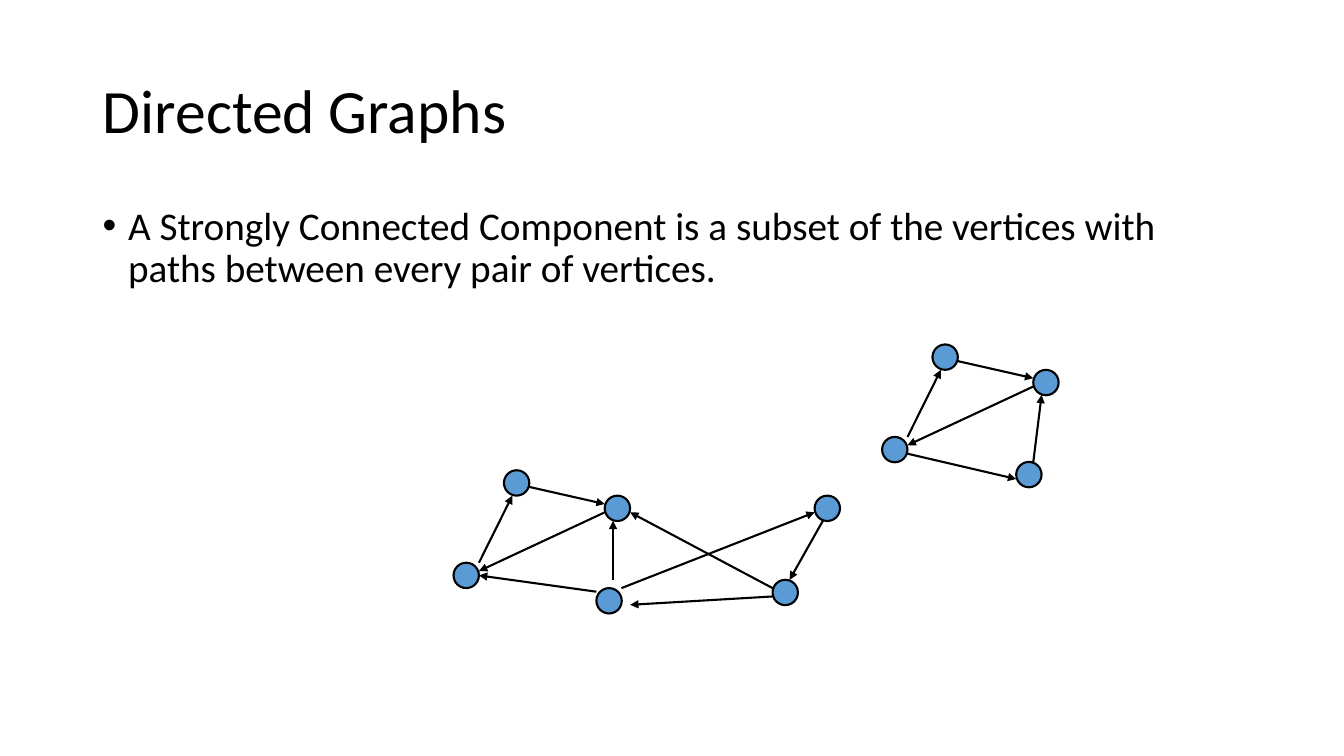
from dataclasses import dataclass

from lxml import etree
from pptx import Presentation
from pptx import util as u
from pptx.dml.color import RGBColor
from pptx.enum import shapes, text
from pptx.oxml.ns import qn

BLACK, BLUE, WHITE = "000000", "5B9BD5", "FFFFFF"
DIAMETER = 0.64
LINE_WIDTH = 1.5


@dataclass(frozen=True)
class Vertex:
    x: float
    y: float


@dataclass(frozen=True)
class Edge:
    x1: float
    y1: float
    x2: float
    y2: float


@dataclass(frozen=True)
class TextBox:
    words: str
    top: float
    height: float
    size: int
    anchor: text.MSO_ANCHOR
    bullet: bool = False


# Both components contain the same three-vertex cycle
CYCLE_ORIGINS = [(11.43, 11.85), (22.23, 8.68)]
CYCLE_VERTICES = [Vertex(1.27, 0), Vertex(3.81, 0.64), Vertex(0, 2.33)]
CYCLE_EDGES = [
    Edge(0.64, 2.33, 1.48, 0.64),
    Edge(1.91, 0.42, 3.81, 0.85),
    Edge(3.81, 1.06, 0.64, 2.54),
]

# Vertices and edges attached to the cycles
OTHER_VERTICES = [
    Vertex(20.53, 12.49),
    Vertex(19.47, 14.61),
    Vertex(15.03, 14.82),
    Vertex(25.61, 11.64),
]
OTHER_EDGES = [
    Edge(15.66, 14.82, 20.53, 12.91),
    Edge(15.03, 14.91, 12.07, 14.5),
    Edge(15.45, 14.61, 15.45, 13.12),
    Edge(19.47, 15.03, 15.88, 15.24),
    Edge(20.74, 13.12, 19.9, 14.61),
    Edge(19.47, 14.82, 15.88, 12.91),
    Edge(22.86, 11.43, 25.61, 12.07),
    Edge(26.04, 11.64, 26.25, 9.95),
]

TEXTS = [
    TextBox("Directed Graphs", 1.02, 3.68, 44, text.MSO_ANCHOR.MIDDLE),
    TextBox("A Strongly Connected Component is a subset of the vertices with "
            "paths between every pair of vertices.",
            5.08, 12.09, 28, text.MSO_ANCHOR.TOP, bullet=True),
]


def color(value: str) -> RGBColor:
    return RGBColor.from_string(value)


def set_format(target, values: dict) -> None:
    for name, value in values.items():
        setattr(target, name, value)


def set_line(line) -> None:
    line.color.rgb = color(BLACK)
    line.width = u.Pt(LINE_WIDTH)


def add_text(s, box: TextBox) -> None:
    sp = s.shapes.add_textbox(u.Cm(2.34), u.Cm(box.top), u.Cm(29.21), u.Cm(box.height))
    tf = sp.text_frame
    set_format(tf, {"word_wrap": True, "vertical_anchor": box.anchor})
    p = tf.paragraphs[0]
    p.line_spacing = 0.9
    if box.bullet:
        pPr = p._p.get_or_add_pPr()
        indent = u.Cm(0.64)
        pPr.set("marL", str(indent))
        pPr.set("indent", str(-indent))
        etree.SubElement(pPr, qn("a:buFont")).set("typeface", "Arial")
        etree.SubElement(pPr, qn("a:buChar")).set("char", "•")
    r = p.add_run()
    r.text = box.words
    set_format(r.font, {"name": "Calibri", "size": u.Pt(box.size)})
    r.font.color.rgb = color(BLACK)


def add_vertex(s, vertex: Vertex, dx: float = 0, dy: float = 0) -> None:
    sp = s.shapes.add_shape(shapes.MSO_SHAPE.OVAL, u.Cm(vertex.x + dx),
                            u.Cm(vertex.y + dy), u.Cm(DIAMETER), u.Cm(DIAMETER))
    sp.shadow.inherit = False
    sp.fill.solid()
    sp.fill.fore_color.rgb = color(BLUE)
    set_line(sp.line)


def add_edge(s, edge: Edge, dx: float = 0, dy: float = 0) -> None:
    sp = s.shapes.add_connector(
        shapes.MSO_CONNECTOR.STRAIGHT, u.Cm(edge.x1 + dx), u.Cm(edge.y1 + dy),
        u.Cm(edge.x2 + dx), u.Cm(edge.y2 + dy))
    set_line(sp.line)
    etree.SubElement(sp.line._get_or_add_ln(), qn("a:tailEnd")).set("type", "triangle")
    etree.SubElement(sp._element.spPr, qn("a:effectLst"))


def main() -> None:
    prs = Presentation()
    set_format(prs, {"slide_width": u.Cm(33.87), "slide_height": u.Cm(19.05)})
    s = prs.slides.add_slide(prs.slide_layouts[6])
    s.background.fill.solid()
    s.background.fill.fore_color.rgb = color(WHITE)

    # Title and definition
    for box in TEXTS:
        add_text(s, box)

    # Shared cycles
    for dx, dy in CYCLE_ORIGINS:
        for vertex in CYCLE_VERTICES:
            add_vertex(s, vertex, dx, dy)
        for edge in CYCLE_EDGES:
            add_edge(s, edge, dx, dy)

    # Rest of the graph
    for edge in OTHER_EDGES:
        add_edge(s, edge)
    for vertex in OTHER_VERTICES:
        add_vertex(s, vertex)

    prs.save("out.pptx")


if __name__ == "__main__":
    main()
